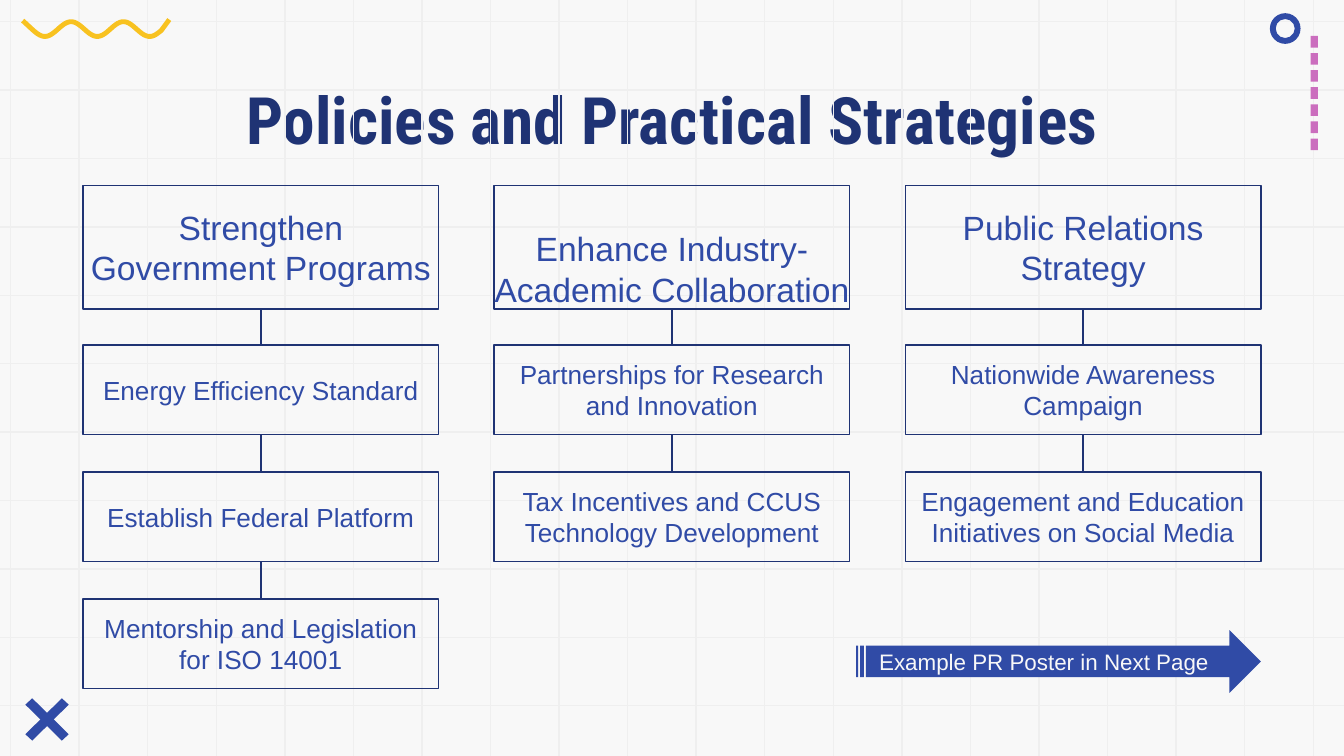
from math import cos, pi
from typing import NamedTuple

from pptx import Presentation
from pptx.dml.color import RGBColor
from pptx.enum.shapes import MSO_CONNECTOR, MSO_SHAPE
from pptx.enum.text import MSO_ANCHOR, MSO_AUTO_SIZE, PP_ALIGN
from pptx.oxml import parse_xml
from pptx.oxml.ns import nsdecls
from pptx.util import Cm, Pt

HUES = {
    "paper": "F8F8F8",
    "grid": "EFEFEF",
    "navy": "1F3374",
    "blue": "304BA6",
    "pink": "CB6EBE",
    "gold": "F8C220",
}
WIDE, HIGH = 25.4, 14.29


class Box(NamedTuple):
    left: float
    top: float
    width: float
    height: float


class Branch(NamedTuple):
    head: str
    items: list[str]
    anchor: MSO_ANCHOR = MSO_ANCHOR.MIDDLE


BRANCHES = [
    Branch("Strengthen Government Programs", [
        "Energy Efficiency Standard",
        "Establish Federal Platform",
        "Mentorship and Legislation for ISO 14001",
    ]),
    Branch("Enhance Industry-Academic Collaboration", [
        "Partnerships for Research and Innovation",
        "Tax Incentives and CCUS Technology Development",
    ], MSO_ANCHOR.BOTTOM),
    Branch("Public Relations Strategy", [
        "Nationwide Awareness Campaign",
        "Engagement and Education Initiatives on Social Media",
    ]),
]


def hue(name: str) -> RGBColor:
    return RGBColor.from_string(HUES[name])


def spread(first: float, last: float, count: int) -> list[float]:
    """Evenly spaced values, both ends included."""
    return [first + (last - first) * i / (count - 1) for i in range(count)]


def paint(shape, fill: str = "", line: str = "", width: float = 0.75) -> None:
    shape.shadow.inherit = False
    if fill:
        shape.fill.solid()
        shape.fill.fore_color.rgb = hue(fill)
    else:
        shape.fill.background()
    if line:
        shape.line.color.rgb = hue(line)
        shape.line.width = Pt(width)
    else:
        shape.line.fill.background()


def add_preset(slide, kind: MSO_SHAPE, box: Box, **look):
    shape = slide.shapes.add_shape(kind, *map(Cm, box))
    paint(shape, **look)
    return shape


def add_path(slide, points: list[tuple[float, float]], close: bool, **look) -> None:
    first, *rest = [(Cm(x), Cm(y)) for x, y in points]
    build = slide.shapes.build_freeform(*first)
    build.add_line_segments(rest, close=close)
    paint(build.convert_to_shape(), **look)


def add_line(slide, x1: float, y1: float, x2: float, y2: float, color: str):
    line = slide.shapes.add_connector(
        MSO_CONNECTOR.STRAIGHT, Cm(x1), Cm(y1), Cm(x2), Cm(y2))
    line.line.color.rgb = hue(color)
    line.line.width = Pt(0.75)
    line._element.spPr.append(parse_xml(f"<a:effectLst {nsdecls('a')}/>"))
    return line


def write(shape, text: str, size: float, color: str, font: str = "Arial",
          align: PP_ALIGN = PP_ALIGN.CENTER,
          anchor: MSO_ANCHOR = MSO_ANCHOR.MIDDLE,
          inset: float = 0.25, bold: bool = False) -> None:
    frame = shape.text_frame
    frame.word_wrap = True
    frame.auto_size = MSO_AUTO_SIZE.NONE
    frame.vertical_anchor = anchor
    frame.margin_left = frame.margin_right = Cm(inset)
    frame.margin_top = frame.margin_bottom = Cm(inset)
    frame.text = text
    para = frame.paragraphs[0]
    para.alignment = align
    para.font.name = font
    para.font.size = Pt(size)
    para.font.bold = bold
    para.font.color.rgb = hue(color)


def draw_grid(slide) -> None:
    for y in spread(0.41, 13.34, 11):
        add_line(slide, 0, y, WIDE, y, "grid")
    for x in spread(0.2, 24.82, 20):
        add_line(slide, x, 0, x, HIGH, "grid")


def draw_decor(slide) -> None:
    for top in spread(0.68, 2.62, 7):
        add_preset(slide, MSO_SHAPE.RECTANGLE, Box(24.77, top, 0.14, 0.22), fill="pink")

    bar = [(0.61, 13.2), (0.48, 13.32), (1.17, 14), (1.3, 13.88)]
    add_path(slide, bar, True, fill="blue")
    add_path(slide, [(1.78 - x, y) for x, y in bar], True, fill="blue")

    wave = [(x, 0.55 + 0.14 * cos(2 * pi * (x - 0.85) / 0.99))
            for x in spread(0.62, 3.05, 60)]
    add_path(slide, [(0.43, 0.39), *wave, (3.2, 0.37)], False, line="gold", width=2.6)

    ring = add_preset(slide, MSO_SHAPE.DONUT, Box(24, 0.25, 0.58, 0.58), fill="blue")
    ring.adjustments[0] = 0.19


def draw_branch(slide, branch: Branch, left: float) -> None:
    """Draw a heading box with its items chained below it."""
    above = add_preset(slide, MSO_SHAPE.RECTANGLE, Box(left, 3.51, 6.72, 2.33), line="navy")
    write(above, branch.head, 18, "blue", anchor=branch.anchor, inset=0)
    for row, item in enumerate(branch.items):
        box = Box(left, 6.52 + 2.4 * row, 6.72, 1.7)
        below = add_preset(slide, MSO_SHAPE.RECTANGLE, box, line="navy")
        write(below, item, 14, "blue")
        link = add_line(slide, 0, 0, 1, 1, "navy")
        link.begin_connect(above, 2)
        link.end_connect(below, 0)
        above = below


def main() -> None:
    deck = Presentation()
    deck.slide_width, deck.slide_height = Cm(WIDE), Cm(HIGH)
    slide = deck.slides.add_slide(deck.slide_layouts[5])
    slide.background.fill.solid()
    slide.background.fill.fore_color.rgb = hue("paper")

    draw_grid(slide)
    draw_decor(slide)

    title = slide.shapes.title
    title.left, title.top, title.width, title.height = map(Cm, Box(2, 1.24, 21.41, 1.6))
    write(title, "Policies and Practical Strategies", 35, "navy",
          font="Roboto Condensed", anchor=MSO_ANCHOR.TOP, bold=True)

    for col, branch in enumerate(BRANCHES):
        draw_branch(slide, branch, 1.57 + 7.77 * col)

    arrow = add_preset(slide, MSO_SHAPE.STRIPED_RIGHT_ARROW,
                       Box(16.18, 11.91, 7.65, 1.19), fill="blue")
    write(arrow, "Example PR Poster in Next Page", 12, "paper", align=PP_ALIGN.LEFT)

    deck.save("out.pptx")


if __name__ == "__main__":
    main()
